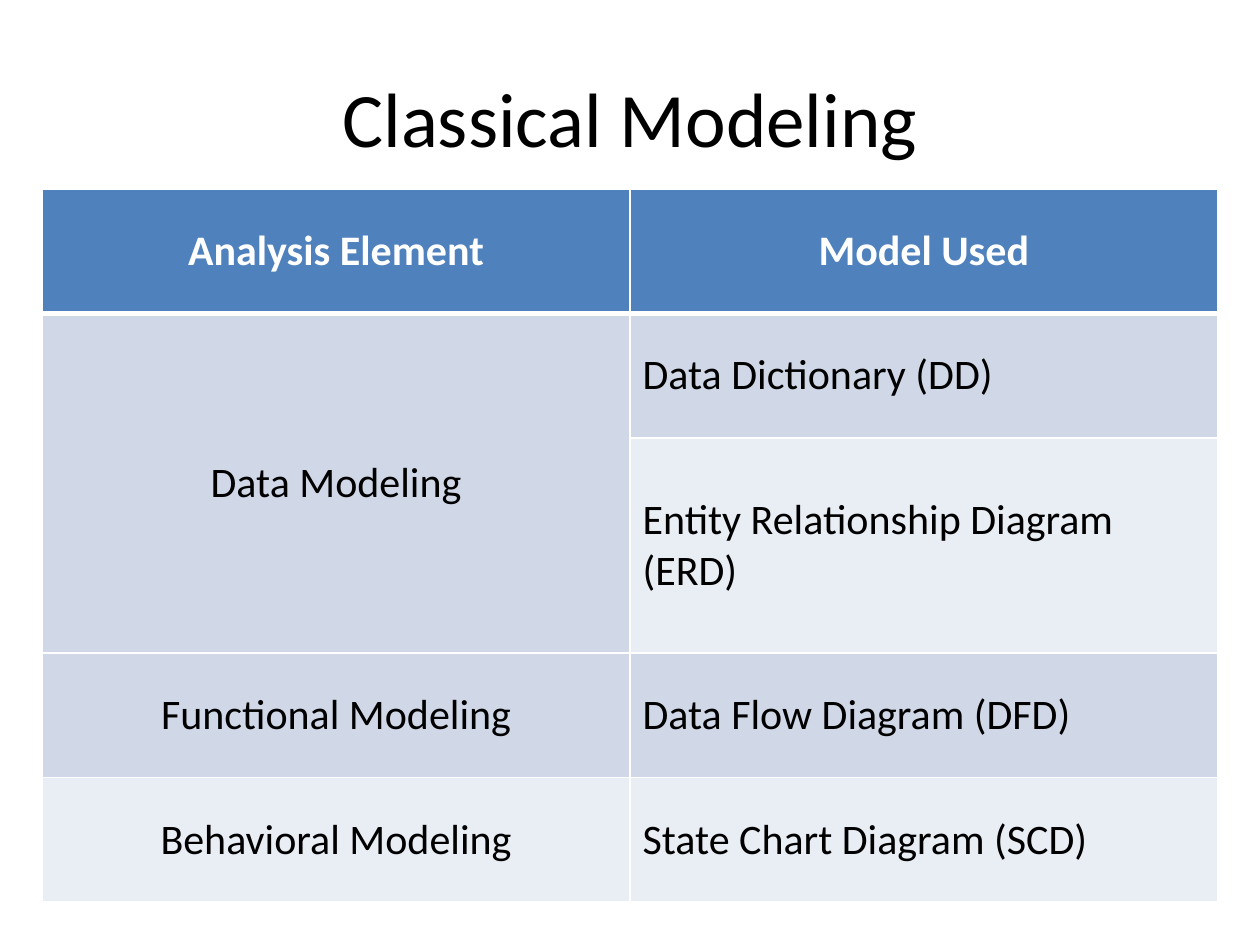
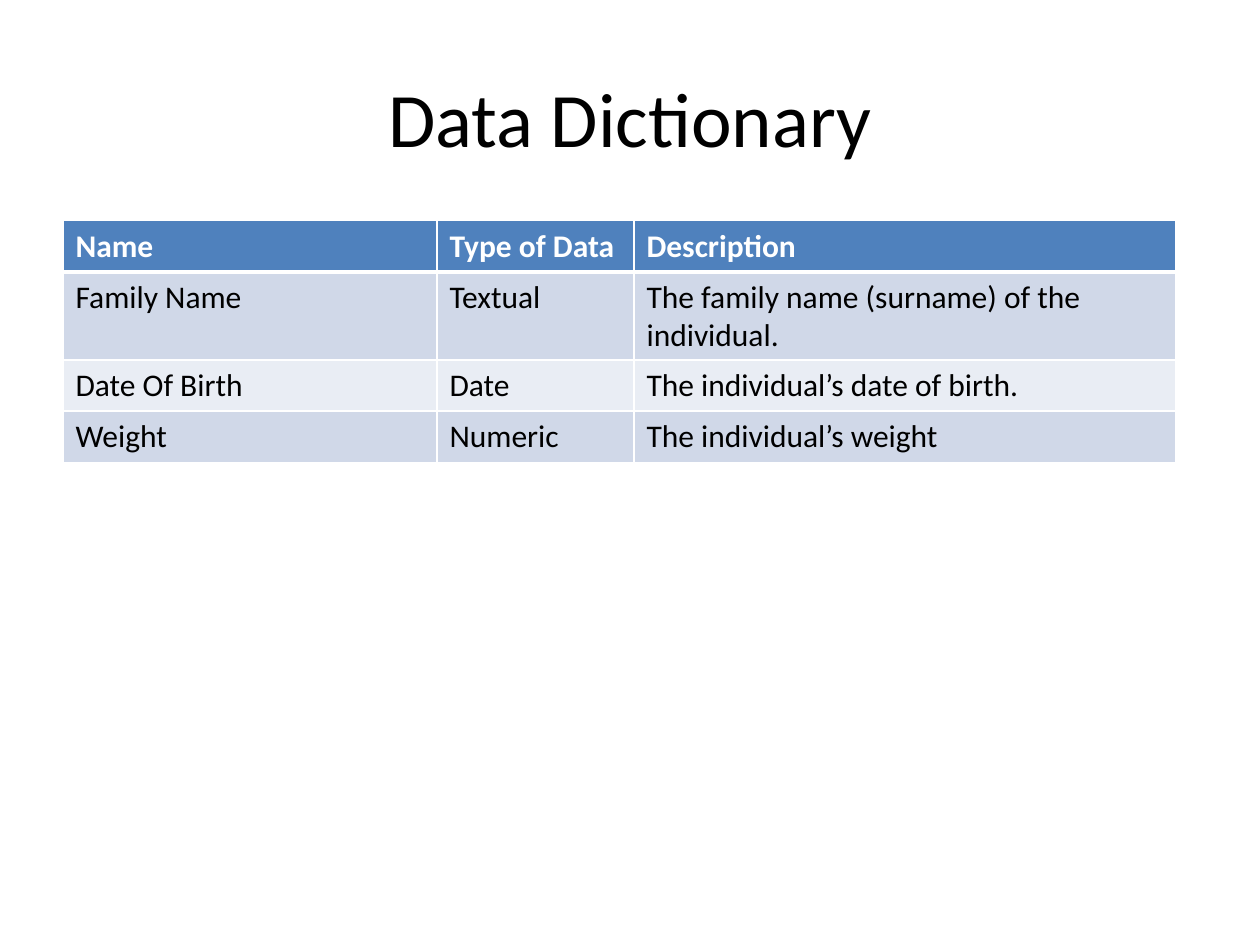
import pptx
import pptx.dml.color
import pptx.enum.text
import pptx.oxml
import pptx.oxml.ns
import pptx.util

Cm = pptx.util.Cm
Pt = pptx.util.Pt
Align = pptx.enum.text.PP_ALIGN
Anchor = pptx.enum.text.MSO_ANCHOR


def color(value):
    return pptx.dml.color.RGBColor.from_string(value)


class Deck:
    font = "Calibri"
    ink = "000000"
    paper = "FFFFFF"
    header = "4F81BD"
    bands = ("E9EDF4", "D0D8E8")

    def __init__(self):
        self.presentation = pptx.Presentation()
        self.presentation.slide_width = Cm(25.4)
        self.presentation.slide_height = Cm(19.05)
        self.slide = None

    def add_slide(self, title):
        self.slide = self.presentation.slides.add_slide(self.presentation.slide_layouts[6])
        frame = self.slide.shapes.add_textbox(Cm(1.27), Cm(0.76), Cm(22.86), Cm(3.18)).text_frame
        frame.word_wrap = True
        frame.vertical_anchor = Anchor.MIDDLE
        self.add_text(frame, title, 44, align=Align.CENTER)

    def add_text(self, frame, text, size, ink=ink, bold=False, align=Align.LEFT):
        paragraph = frame.paragraphs[0]
        paragraph.alignment = align
        run = paragraph.add_run()
        run.text = text
        run.font.name = self.font
        run.font.size = Pt(size)
        run.font.bold = bold
        run.font.color.rgb = color(ink)

    def add_borders(self, cell, top, bottom):
        properties = cell._tc.get_or_add_tcPr()
        widths = {"L": 1, "R": 1, "T": top, "B": bottom}
        for position, (side, width) in enumerate(widths.items()):
            line = pptx.oxml.parse_xml(
                f'<a:ln{side} {pptx.oxml.ns.nsdecls("a")} w="{Pt(width)}"><a:solidFill>'
                f'<a:srgbClr val="{self.paper}"/></a:solidFill></a:ln{side}>')
            properties.insert(position, line)

    def add_table(self, left, top, widths, heights, rows, size, anchor, centered=lambda row, column: False):
        table = self.slide.shapes.add_table(
            len(heights), len(widths), Cm(left), Cm(top), Cm(sum(widths)), Cm(sum(heights))).table
        for column, width in zip(table.columns, widths):
            column.width = Cm(width)
        for row, height in zip(table.rows, heights):
            row.height = Cm(height)
        for r, texts in enumerate(rows):
            is_header = r == 0
            for c, text in enumerate(texts):
                cell = table.cell(r, c)
                cell.vertical_anchor = anchor
                cell.fill.solid()
                cell.fill.fore_color.rgb = color(self.header if is_header else self.bands[r % 2])
                self.add_borders(cell, 3 if r == 1 else 1, 3 if is_header else 1)
                if text:
                    self.add_text(cell.text_frame, text, size, self.paper if is_header else self.ink,
                                  is_header, Align.CENTER if centered(r, c) else Align.LEFT)
        return table


def main():
    deck = Deck()

    deck.add_slide("Classical Modeling")
    models = deck.add_table(
        0.85, 3.81, [11.85] * 2, [2.51, 2.51, 4.34, 2.51, 2.51],
        [("Analysis Element", "Model Used"),
         ("Data Modeling", "Data Dictionary (DD)"),
         (None, "Entity Relationship Diagram (ERD)"),
         ("Functional Modeling", "Data Flow Diagram (DFD)"),
         ("Behavioral Modeling", "State Chart Diagram (SCD)")],
        24, Anchor.MIDDLE, centered=lambda row, column: row == 0 or column == 0)
    models.cell(1, 0).merge(models.cell(2, 0))

    deck.add_slide("Data Dictionary")
    deck.add_table(
        1.27, 4.45, [7.54, 3.97, 10.92], [1.03] * 4,
        [("Name", "Type of Data", "Description"),
         ("Family Name", "Textual", "The family name (surname) of the individual."),
         ("Date Of Birth", "Date", "The individual’s date of birth."),
         ("Weight", "Numeric", "The individual’s weight")],
        18, Anchor.TOP)

    deck.presentation.save("out.pptx")


if __name__ == "__main__":
    main()
